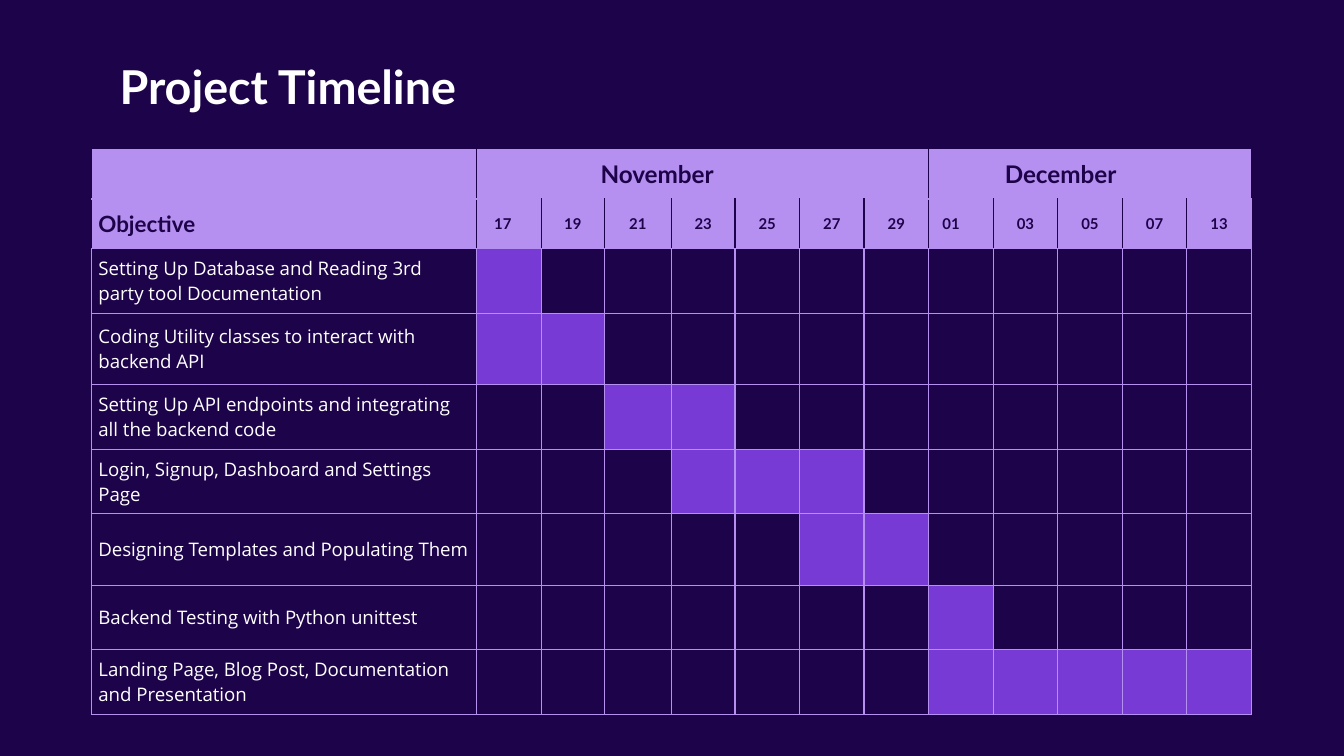
from dataclasses import dataclass

from lxml import etree
from pptx import Presentation, util as u
from pptx.dml import color
from pptx.enum import text
from pptx.oxml import ns


@dataclass(frozen=True)
class Theme:
    night: str = "1D0349"
    lilac: str = "B690F0"
    violet: str = "783AD5"
    white: str = "FFFFFF"
    heading_font: str = "Lato"
    body_font: str = "Open Sans"
    title_size: float = 25
    month_size: float = 13
    objective_size: float = 12
    task_size: float = 10
    day_size: float = 8
    rule_width: float = 0.75


THEME = Theme()

# Month name, its days, indent of the name and of the first day in cm
MONTHS = [
    ("November", ["17", "19", "21", "23", "25", "27", "29"], 2.34, 0.33),
    ("December", ["01", "03", "05", "07", "13"], 1.44, 0.26),
]
# Task, first and last busy day column
TASKS = [
    ("Setting Up Database and Reading 3rd party tool Documentation", 1, 1),
    ("Coding Utility classes to interact with backend API", 1, 2),
    ("Setting Up API endpoints and integrating all the backend code", 3, 4),
    ("Login, Signup, Dashboard and Settings Page", 4, 6),
    ("Designing Templates and Populating Them", 6, 7),
    ("Backend Testing with Python unittest", 8, 8),
    ("Landing Page, Blog Post, Documentation and Presentation", 8, 12),
]
COLUMN_WIDTHS = [7.28, 1.22, 1.19, 1.27, 1.2] + [1.22] * 8
ROW_HEIGHTS = [0.94, 0.94, 1.22, 1.35, 1.22, 1.22, 1.35, 1.22, 1.22]
TASK_INSET = 0.13


def rgb(value):
    return color.RGBColor.from_string(value)


def add_run(paragraph, wording, size, ink, font, bold):
    run = paragraph.add_run()
    run.text = wording
    run.font.size = u.Pt(size)
    run.font.name = font
    run.font.bold = bold
    run.font.color.rgb = rgb(ink)


def set_borders(cell, left, right, top, bottom):
    properties = cell._tc.get_or_add_tcPr()
    sides = zip(("lnL", "lnR", "lnT", "lnB"), (left, right, top, bottom))
    for position, (side, ink) in enumerate(sides):
        line = etree.Element(ns.qn("a:" + side), w=str(u.Pt(THEME.rule_width)))
        solid = etree.SubElement(line, ns.qn("a:solidFill"))
        etree.SubElement(solid, ns.qn("a:srgbClr"), val=ink)
        properties.insert(position, line)


def style_cell(cell, row, column, last_column):
    """Give a cell its fill, borders and empty margins by its place."""
    cell.vertical_anchor = text.MSO_ANCHOR.MIDDLE
    cell.margin_left = cell.margin_right = 0
    cell.margin_top = cell.margin_bottom = 0
    lilac, night = THEME.lilac, THEME.night
    if row < 2:
        cell.fill.solid()
        cell.fill.fore_color.rgb = rgb(lilac)
        set_borders(cell, night, lilac if column == last_column else night,
                    lilac, lilac)
        return
    _, first, last = TASKS[row - 2]
    if first <= column <= last:
        cell.fill.solid()
        cell.fill.fore_color.rgb = rgb(THEME.violet)
    else:
        cell.fill.background()
    set_borders(cell, lilac, lilac, lilac, lilac)


def write_cell(cell, wording, size, ink=THEME.night,
               font=THEME.heading_font, bold=True):
    add_run(cell.text_frame.paragraphs[0], wording, size, ink, font, bold)


def write_label(cell, wording, size, **look):
    """Write in the first column, which has a margin all round."""
    cell.margin_left = cell.margin_right = u.Cm(TASK_INSET)
    cell.margin_top = cell.margin_bottom = u.Cm(TASK_INSET)
    write_cell(cell, wording, size, **look)


def write_calendar(grid):
    """Fill the two heading rows with months and days."""
    column = 1
    for month, days, month_indent, day_indent in MONTHS:
        heading = grid.cell(0, column)
        heading.merge(grid.cell(0, column + len(days) - 1))
        heading.margin_left = u.Cm(month_indent)
        write_cell(heading, month, THEME.month_size)
        for offset, day in enumerate(days):
            cell = grid.cell(1, column + offset)
            if offset:
                cell.text_frame.paragraphs[0].alignment = text.PP_ALIGN.CENTER
            else:
                cell.margin_left = u.Cm(day_indent)
            write_cell(cell, day, THEME.day_size)
        column += len(days)


def add_timeline(slide, left, top):
    frame = slide.shapes.add_table(
        len(ROW_HEIGHTS), len(COLUMN_WIDTHS), u.Cm(left), u.Cm(top),
        u.Cm(sum(COLUMN_WIDTHS)), u.Cm(sum(ROW_HEIGHTS)))
    grid = frame.table
    grid.first_row = grid.horz_banding = False
    for column, width in zip(grid.columns, COLUMN_WIDTHS):
        column.width = u.Cm(width)
    for row, height in zip(grid.rows, ROW_HEIGHTS):
        row.height = u.Cm(height)
    for row in range(len(ROW_HEIGHTS)):
        for column in range(len(COLUMN_WIDTHS)):
            style_cell(grid.cell(row, column), row, column,
                       len(COLUMN_WIDTHS) - 1)
    write_calendar(grid)
    write_label(grid.cell(1, 0), "Objective", THEME.objective_size)
    for row, (task, _, _) in enumerate(TASKS, start=2):
        write_label(grid.cell(row, 0), task, THEME.task_size,
                    ink=THEME.white, font=THEME.body_font, bold=False)


def place_title(slide, wording, left, top, width, height):
    title = slide.shapes.title
    title.left, title.top = u.Cm(left), u.Cm(top)
    title.width, title.height = u.Cm(width), u.Cm(height)
    frame = title.text_frame
    frame.word_wrap = True
    frame.auto_size = text.MSO_AUTO_SIZE.NONE
    frame.vertical_anchor = text.MSO_ANCHOR.TOP
    frame.margin_left = frame.margin_right = u.Cm(0.25)
    frame.margin_top = frame.margin_bottom = u.Cm(0.25)
    frame.paragraphs[0].alignment = text.PP_ALIGN.LEFT
    add_run(frame.paragraphs[0], wording, THEME.title_size, THEME.white,
            THEME.heading_font, True)


def main():
    deck = Presentation()
    deck.slide_width, deck.slide_height = u.Cm(25.4), u.Cm(14.29)
    slide = deck.slides.add_slide(deck.slide_layouts.get_by_name("Title Only"))
    slide.background.fill.solid()
    slide.background.fill.fore_color.rgb = rgb(THEME.night)
    place_title(slide, "Project Timeline", 2.01, 0.84, 21.41, 1.32)
    add_timeline(slide, 1.73, 2.82)
    deck.save("out.pptx")


if __name__ == "__main__":
    main()
